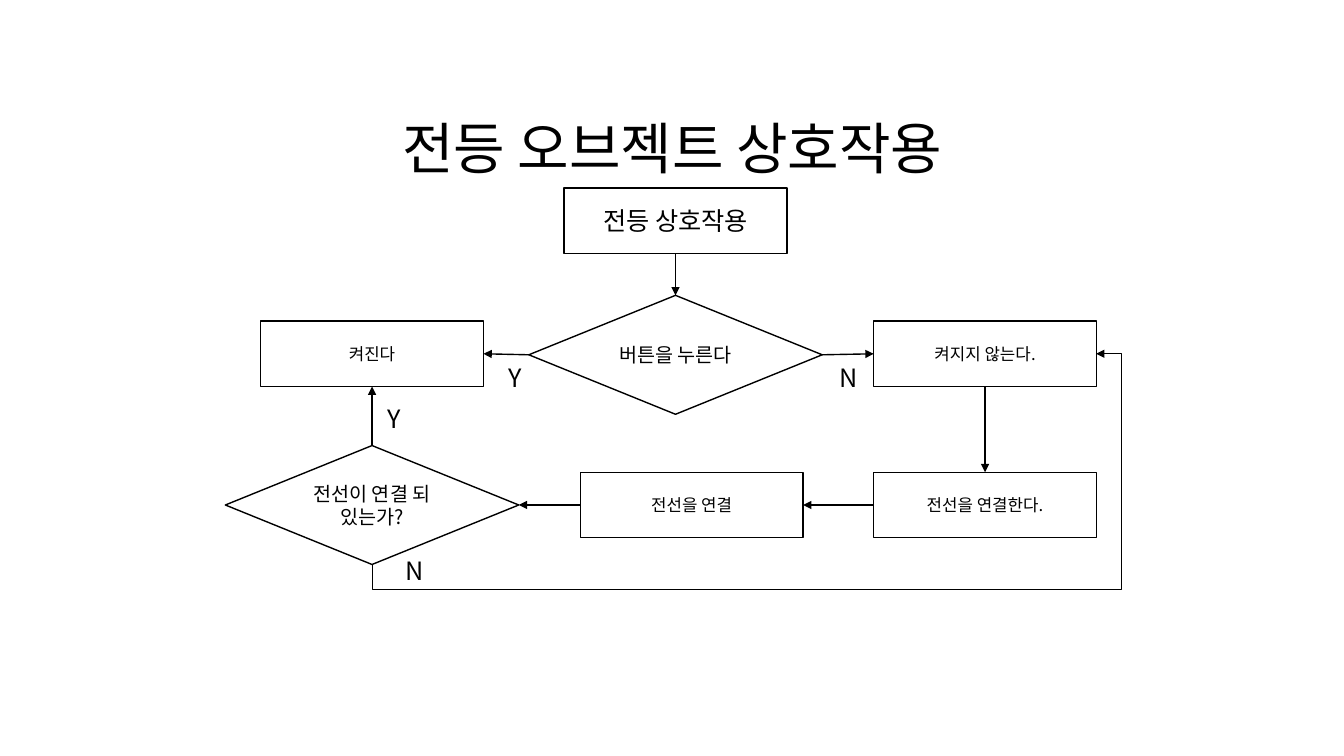
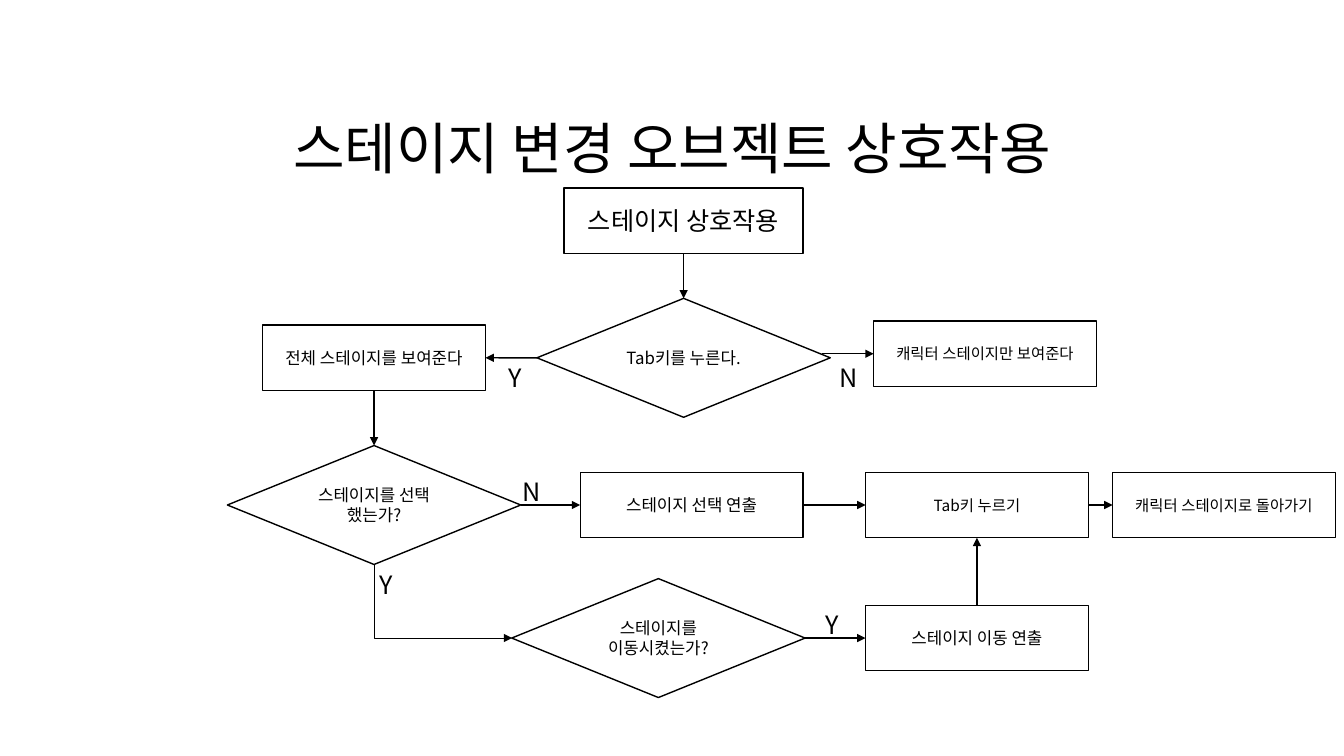
import pptx
import pptx.dml.color
import pptx.enum.shapes
import pptx.enum.text
import pptx.oxml
import pptx.oxml.ns
import pptx.util

Inches = pptx.util.Inches
Pt = pptx.util.Pt
Shape = pptx.enum.shapes.MSO_SHAPE
Connector = pptx.enum.shapes.MSO_CONNECTOR
Anchor = pptx.enum.text.MSO_ANCHOR
Align = pptx.enum.text.PP_ALIGN
qn = pptx.oxml.ns.qn

INK = pptx.dml.color.RGBColor(0x00, 0x00, 0x00)
FONT = "Noto Sans CJK KR"
SLIDE_SIZE = (13.33, 7.5)
TITLE_BOX = (0.92, 0.4, 11.5, 1.45)
FLOW_ORIGIN = (2, 1.8)
STEP_SIZE = (2.21, 0.65)
DECISION_SIZE = (2.91, 1.18)
LABEL_SIZE = (0.35, 0.4)
TOP, LEFT, BOTTOM, RIGHT = range(4)


def add_child(parent, tag, **attributes):
    """Append a DrawingML element to parent and return it."""
    child = pptx.oxml.parse_xml(f"<{tag} {pptx.oxml.ns.nsdecls('a')}/>")
    for key, value in attributes.items():
        child.set(key, str(value))
    parent.append(child)
    return child


def write(frame, text, size, align, anchor):
    """Write one styled paragraph into a text frame."""
    frame.word_wrap = True
    frame.vertical_anchor = anchor
    paragraph = frame.paragraphs[0]
    paragraph.text = text
    paragraph.alignment = align
    paragraph.font.size = Pt(size)
    paragraph.font.color.rgb = INK
    paragraph.font.name = FONT
    add_child(paragraph.font._element, "a:ea", typeface=FONT)
    return paragraph


def add_title(slide, box, text):
    """Place the slide title at the bottom of its box."""
    title = slide.shapes.add_textbox(*map(Inches, box))
    write(title.text_frame, text, 40, Align.CENTER, Anchor.BOTTOM).line_spacing = 0.9


def style_line(connector, width):
    """Give a connector its ink, width and closing arrowhead."""
    connector.line.color.rgb = INK
    connector.line.width = Pt(width)
    add_child(connector.line._get_or_add_ln(), "a:tailEnd", type="triangle")
    add_child(connector._element.spPr, "a:effectLst")


class Flow:
    """Flowchart whose parts are placed relative to an origin."""

    def __init__(self, slide, origin):
        """Keep the slide's shapes and the origin."""
        self.shapes = slide.shapes
        self.left, self.top = origin

    def add_node(self, kind, center, size, text, text_size):
        """Outline a node around its center."""
        x, y = center
        width, height = size
        node = self.shapes.add_shape(
            kind, Inches(self.left + x - width / 2), Inches(self.top + y - height / 2),
            Inches(width), Inches(height))
        node.shadow.inherit = False
        node.fill.background()
        node.line.color.rgb = INK
        node.line.width = Pt(1)
        write(node.text_frame, text, text_size, Align.CENTER, Anchor.MIDDLE)
        return node

    def step(self, x, y, text, text_size=12, width=STEP_SIZE[0]):
        """Add a rectangular step."""
        return self.add_node(Shape.RECTANGLE, (x, y), (width, STEP_SIZE[1]), text, text_size)

    def decision(self, x, y, text, text_size=12):
        """Add a diamond decision."""
        return self.add_node(Shape.DIAMOND, (x, y), DECISION_SIZE, text, text_size)

    def label(self, x, y, text):
        """Add a branch label by its top left corner."""
        answer = self.shapes.add_textbox(
            Inches(self.left + x), Inches(self.top + y), *map(Inches, LABEL_SIZE))
        write(answer.text_frame, text, 18, Align.LEFT, Anchor.TOP)

    def arrow(self, source, source_side, target, target_side):
        """Join two nodes with a straight arrow."""
        arrow = self.shapes.add_connector(Connector.STRAIGHT, 0, 0, 0, 0)
        arrow.begin_connect(source, source_side)
        arrow.end_connect(target, target_side)
        style_line(arrow, 1)

    def free_arrow(self, x, y, target, target_side):
        """Draw a straight arrow from a point to a node."""
        start_x, start_y = Inches(self.left + x), Inches(self.top + y)
        arrow = self.shapes.add_connector(Connector.STRAIGHT, start_x, start_y, start_x, start_y)
        arrow.end_connect(target, target_side)
        style_line(arrow, 1)

    def elbow(self, start, end, preset, turn, flips, bends=()):
        """Draw a quarter-turned bent arrow between two points."""
        (x1, y1), (x2, y2) = start, end
        width, height = abs(y2 - y1), abs(x2 - x1)
        left = self.left + (x1 + x2 - width) / 2
        top = self.top + (y1 + y2 - height) / 2
        elbow = self.shapes.add_connector(
            Connector.ELBOW, *map(Inches, (left, top, left + width, top + height)))
        properties = elbow._element.spPr
        frame = properties.find(qn("a:xfrm"))
        frame.set("rot", str(turn * 60000))
        for flip in flips:
            frame.set(flip, "1")
        geometry = properties.find(qn("a:prstGeom"))
        geometry.set("prst", preset)
        guides = geometry.find(qn("a:avLst"))
        for number, bend in enumerate(bends, 1):
            add_child(guides, "a:gd", name=f"adj{number}", fmla=f"val {bend}")
        style_line(elbow, 0.5)


def lamp_flow(slide, origin):
    """Draw the lamp interaction."""
    flow = Flow(slide, origin)
    left, middle, right = 1.69, 4.7, 7.77
    start = flow.step(middle, 0.39, "전등 상호작용", 18)
    press = flow.decision(middle, 1.72, "버튼을 누른다", 14)
    lit = flow.step(left, 1.71, "켜진다")
    unlit = flow.step(right, 1.71, "켜지지 않는다.")
    rewire = flow.step(right, 3.21, "전선을 연결한다.")
    wiring = flow.step(4.86, 3.21, "전선을 연결")
    wired = flow.decision(left, 3.21, "전선이 연결 되 있는가?", 14)
    for route in (
        (start, BOTTOM, press, TOP),
        (press, LEFT, lit, RIGHT),
        (press, RIGHT, unlit, LEFT),
        (unlit, BOTTOM, rewire, TOP),
        (rewire, LEFT, wiring, RIGHT),
        (wiring, LEFT, wired, RIGHT),
        (wired, TOP, lit, BOTTOM),
    ):
        flow.arrow(*route)
    flow.elbow((left, 3.8), (8.87, 1.71), "bentConnector4", 90,
               ("flipH", "flipV"), (-11900, 103500))
    for answer in ((6.23, 1.75, "N"), (2.94, 1.75, "Y"), (1.74, 2.15, "Y"), (1.92, 3.66, "N")):
        flow.label(*answer)


def stage_flow(slide, origin):
    """Draw the stage change interaction."""
    flow = Flow(slide, origin)
    left, middle, right = 1.71, 4.78, 7.69
    choice_row, move_row = 3.21, 4.53
    start = flow.step(middle, 0.39, "스테이지 상호작용", 18, 2.37)
    press = flow.decision(middle, 1.75, "Tab키를 누른다.")
    whole = flow.step(left, 1.75, "전체 스테이지를 보여준다")
    character = flow.step(7.77, 1.71, "캐릭터 스테이지만 보여준다", 11)
    chosen = flow.decision(left, choice_row, "스테이지를 선택 했는가?")
    choosing = flow.step(4.86, choice_row, "스테이지 선택 연출")
    tab = flow.step(right, choice_row, "Tab키 누르기", 11)
    back = flow.step(10.14, choice_row, "캐릭터 스테이지로 돌아가기", 11)
    moved = flow.decision(4.53, move_row, "스테이지를 이동시켰는가?")
    moving = flow.step(right, move_row, "스테이지 이동 연출")
    for route in (
        (start, BOTTOM, press, TOP),
        (press, LEFT, whole, RIGHT),
        (whole, BOTTOM, chosen, TOP),
        (chosen, RIGHT, choosing, LEFT),
        (choosing, RIGHT, tab, LEFT),
        (tab, RIGHT, back, LEFT),
        (moved, RIGHT, moving, LEFT),
        (moving, TOP, tab, BOTTOM),
    ):
        flow.arrow(*route)
    flow.free_arrow(6.15, 1.71, character, LEFT)
    flow.elbow((left, 3.8), (3.08, move_row), "bentConnector2", 270, ("flipH",))
    for answer in ((6.23, 1.75, "N"), (2.94, 1.75, "Y"), (1.67, 3.8, "Y"),
                   (3.08, 2.88, "N"), (6.09, 4.2, "Y")):
        flow.label(*answer)


def main():
    """Build and save both slides."""
    deck = pptx.Presentation()
    deck.slide_width, deck.slide_height = map(Inches, SLIDE_SIZE)
    for title, draw_flow in (
        ("전등 오브젝트 상호작용", lamp_flow),
        ("스테이지 변경 오브젝트 상호작용", stage_flow),
    ):
        slide = deck.slides.add_slide(deck.slide_layouts[6])
        add_title(slide, TITLE_BOX, title)
        draw_flow(slide, FLOW_ORIGIN)
    deck.save("out.pptx")


if __name__ == "__main__":
    main()
